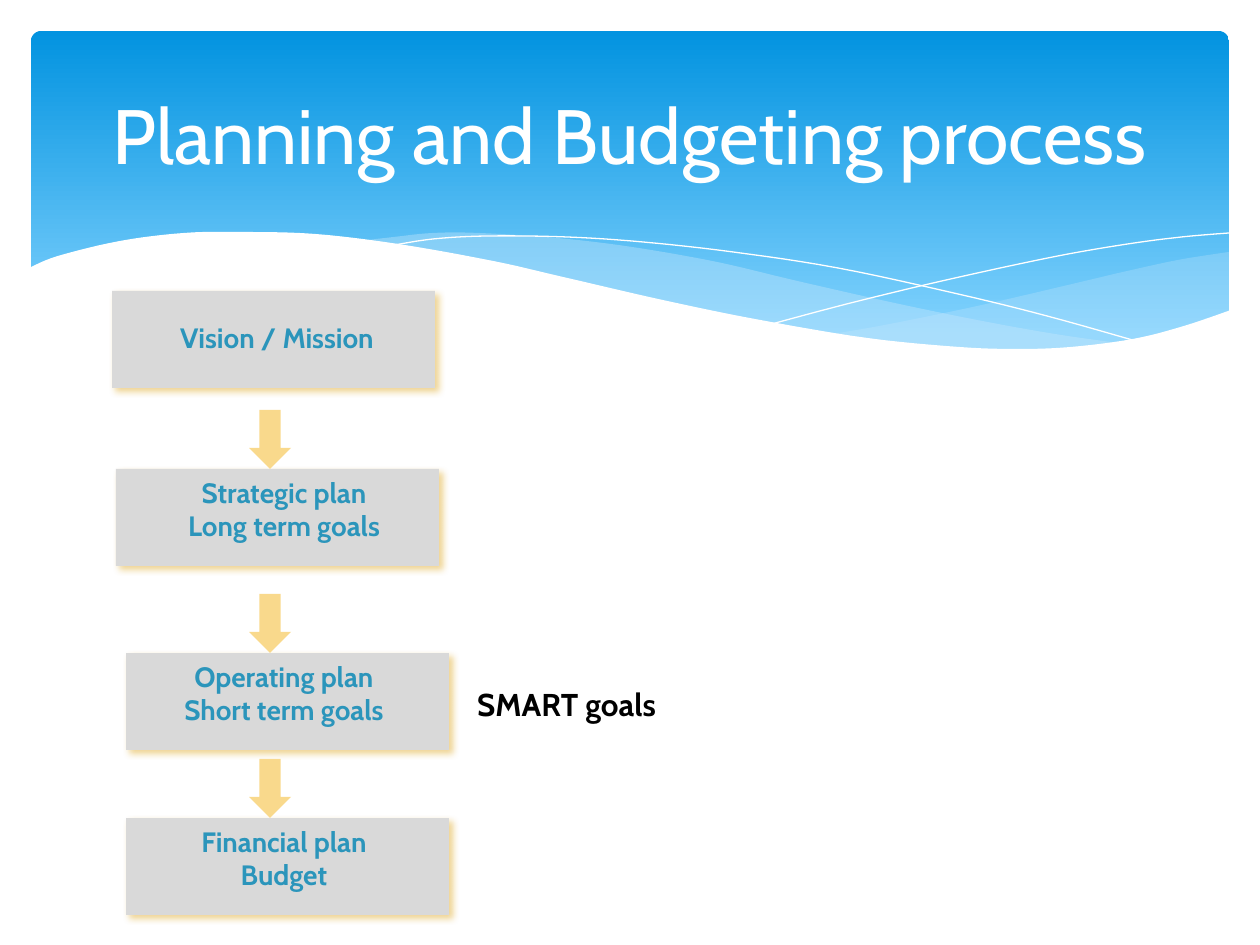
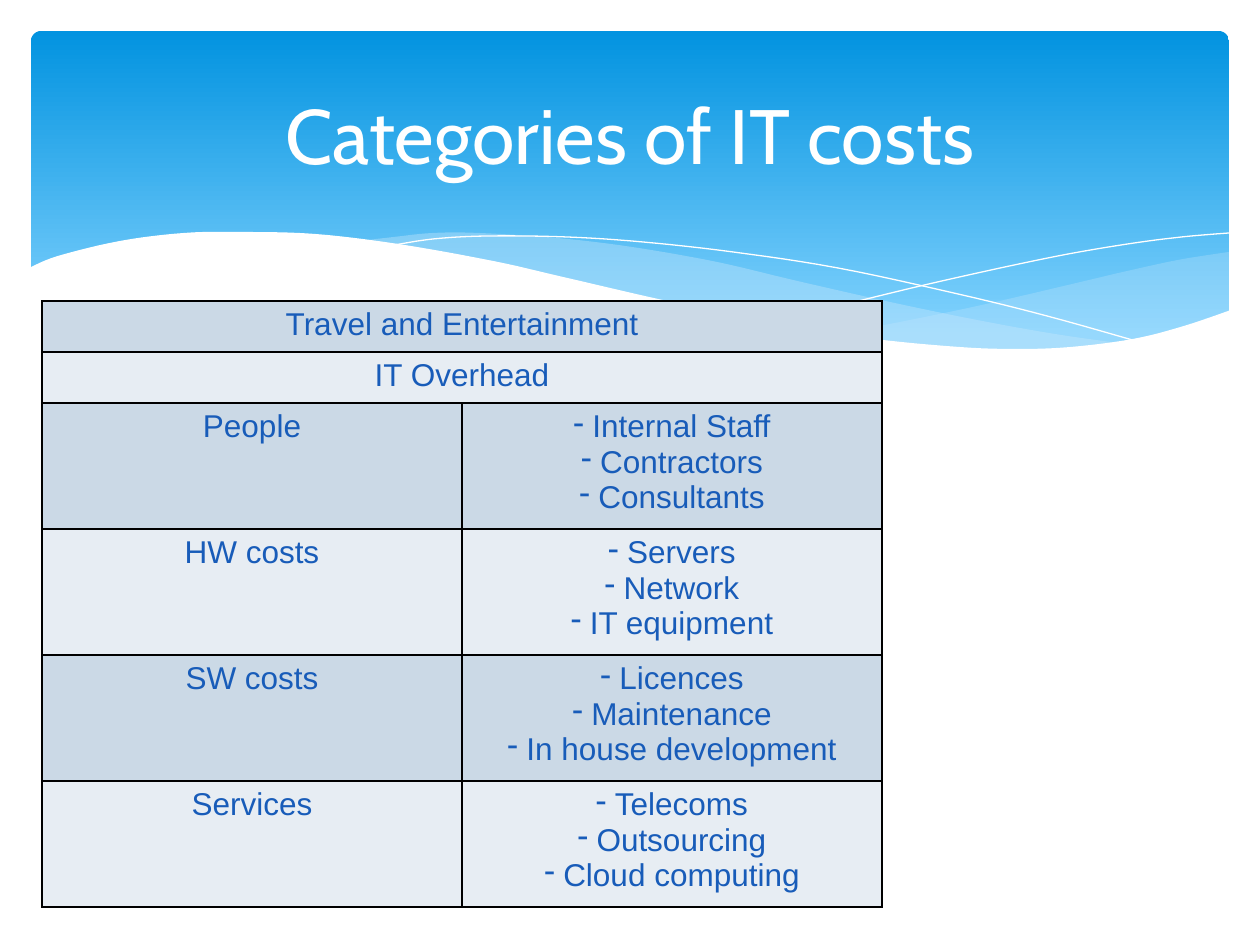
from lxml import etree
from pptx import Presentation
from pptx.dml.color import RGBColor
from pptx.enum.shapes import MSO_SHAPE
from pptx.enum.text import MSO_ANCHOR, MSO_AUTO_SIZE, PP_ALIGN
from pptx.oxml.ns import qn
from pptx.util import Emu, Pt

# Content
PROCESS_TITLE = "Planning and Budgeting process"
# lines, box left, top, label left, label top
STEPS = [
    (["Vision / Mission"], 112, 291, 105, 314),
    (["Strategic plan", "Long term goals"], 116, 469, 112, 469),
    (["Operating plan", "Short term goals"], 126, 653, 112, 653),
    (["Financial plan", "Budget"], 126, 818, 112, 818),
]
SMART_NOTE = "SMART goals"

COSTS_TITLE = "Categories of IT costs"
OVERALL_COSTS = ["Travel and Entertainment", "IT Overhead"]
DETAILED_COSTS = {
    "People": ["Internal Staff", "Contractors", "Consultants"],
    "HW costs": ["Servers", "Network", "IT equipment"],
    "SW costs": ["Licences", "Maintenance", "In house development"],
    "Services": ["Telecoms", "Outsourcing", "Cloud computing"],
}

# Style
HEADING_FONT, TABLE_FONT = "Cabin", "Arial"
WHITE = RGBColor(0xFF, 0xFF, 0xFF)
BLACK = RGBColor(0x00, 0x00, 0x00)
BAND_TOP = RGBColor(0x02, 0x93, 0xE0)
BAND_BOTTOM = RGBColor(0x83, 0xD3, 0xFE)
WAVE_BLUE = RGBColor(0xC6, 0xE7, 0xFC)
BOX_GREY = RGBColor(0xD9, 0xD9, 0xD9)
SHADOW_GOLD = RGBColor(0xDC, 0x9F, 0x0C)
ARROW_YELLOW = RGBColor(0xF9, 0xD9, 0x8C)
STEP_TEAL = RGBColor(0x2B, 0x95, 0xBB)
TABLE_BLUE = RGBColor(0x18, 0x5C, 0xB9)
ROW_FILLS = [RGBColor(0xCB, 0xD9, 0xE6), RGBColor(0xE7, 0xED, 0xF3)]

# Waves: knots of the smooth edges
RIGHT_WAVE_TOP = [(1229, 252), (1178, 260), (1123, 272), (1085, 281), (982, 305),
                  (890, 324), (833, 334)]
RIGHT_WAVE_BOTTOM = [(833, 334), (888, 341), (954, 347), (1026, 350), (1087, 347),
                     (1140, 339), (1187, 326), (1229, 311)]
MIDDLE_WAVE_TOP = [(360, 241), (394, 237), (433, 233), (479, 233), (557, 238),
                   (632, 247), (717, 262), (793, 280), (890, 302), (977, 320),
                   (1055, 334), (1125, 344)]
MIDDLE_WAVE_BOTTOM = [(1125, 344), (1080, 348), (1018, 350), (943, 348), (857, 338),
                      (757, 321), (668, 302), (566, 280), (483, 261), (407, 247),
                      (360, 241)]
FALLING_LINE = [(389, 246), (433, 239), (488, 236), (567, 237), (643, 242),
                (733, 252), (838, 268), (958, 294), (1047, 316), (1143, 343)]
RISING_LINE = [(772, 324), (847, 304), (942, 281), (1053, 257), (1128, 244),
               (1182, 237), (1229, 233)]
WHITE_WAVE_TOP = [(29, 268), (58, 256), (120, 241), (184, 233), (243, 232),
                  (315, 234), (398, 244), (493, 261), (563, 277), (667, 301),
                  (760, 320), (867, 338), (959, 347), (1019, 349), (1071, 347),
                  (1133, 339), (1184, 326), (1231, 310)]
WHITE_WAVE_BASE = [(1231, 415), (29, 415)]

# Sizes in px
SLIDE_SIZE = 1260, 945
TITLE_FRAME = 63, 47, 1134, 173
BAND_FRAME = 31, 31, 1198, 340
BOX_SIZE = 323, 97
LABEL_WIDTH = 344
LINE_HEIGHT, LABEL_PADDING = 34, 13
ARROW_LEFT, ARROW_WIDTH, ARROW_HEIGHT = 249, 42, 59
SMART_FRAME = 417, 679, 299, 50
TABLE_LEFT, TABLE_TOP, COLUMN_WIDTH = 42, 301, 420
OVERALL_HEIGHT, DETAIL_HEIGHT = 51, 126
DASH_INDENT = 19
PX = 914400 / 126


def px(*lengths):
    return [Emu(round(length * PX)) for length in lengths]


def smooth(knots, steps=6):
    """Points of a Catmull-Rom curve through the knots."""
    padded = [knots[0], *knots, knots[-1]]
    points = []
    for a, b, c, d in zip(padded, padded[1:], padded[2:], padded[3:]):
        for t in (step / steps for step in range(steps)):
            points.append(tuple(
                (2 * q + (r - p) * t + (2 * p - 5 * q + 4 * r - s) * t ** 2
                 + (3 * q - p - 3 * r + s) * t ** 3) / 2
                for p, q, r, s in zip(a, b, c, d)))
    return points + [knots[-1]]


def add_dash(paragraph):
    properties = paragraph._p.get_or_add_pPr()
    indent, = px(DASH_INDENT)
    properties.set("marL", str(indent))
    properties.set("indent", str(-indent))
    etree.SubElement(properties, qn("a:buChar"), char="-")


def write(frame, lines, *, size, color, font=HEADING_FONT, bold=False, dashed=False):
    for index, line in enumerate(lines):
        paragraph = frame.add_paragraph() if index else frame.paragraphs[0]
        if dashed:
            add_dash(paragraph)
        paragraph.alignment = PP_ALIGN.CENTER
        run = paragraph.add_run()
        run.text = line
        run.font.size = Pt(size)
        run.font.name = font
        run.font.bold = bold
        run.font.color.rgb = color


def add_label(slide, frame, lines, **style):
    label = slide.shapes.add_textbox(*px(*frame)).text_frame
    label.word_wrap = True
    label.auto_size = MSO_AUTO_SIZE.SHAPE_TO_FIT_TEXT
    write(label, lines, bold=True, **style)


def add_plain_shape(slide, kind, frame, color):
    shape = slide.shapes.add_shape(kind, *px(*frame))
    shape.shadow.inherit = False
    shape.fill.solid()
    shape.fill.fore_color.rgb = color
    shape.line.fill.background()
    return shape


def set_alpha(color_element, percent):
    etree.SubElement(color_element, qn("a:alpha"), val=str(percent * 1000))


def add_gold_shadow(shape):
    effects = shape.element.spPr.find(qn("a:effectLst"))
    shadow = etree.SubElement(effects, qn("a:outerShdw"), blurRad=str(Pt(4)),
                              dist=str(Pt(3)), dir=str(45 * 60000),
                              algn="tl", rotWithShape="0")
    set_alpha(etree.SubElement(shadow, qn("a:srgbClr"), val=str(SHADOW_GOLD)), 43)


def add_wave(slide, points, color, *, alpha=None, filled=True):
    """A filled wave, or a hairline along the points."""
    builder = slide.shapes.build_freeform(*(round(v * PX) for v in points[0]))
    builder.add_line_segments([px(*point) for point in points[1:]], close=filled)
    wave = builder.convert_to_shape()
    wave.shadow.inherit = False
    if filled:
        wave.fill.solid()
        wave.fill.fore_color.rgb = color
        wave.line.fill.background()
    else:
        wave.fill.background()
        wave.line.color.rgb = color
        wave.line.width = Pt(0)
    if alpha:
        set_alpha(wave.element.spPr.find(qn("a:solidFill"))[0], alpha)
    return wave


def draw_band(slide):
    band = add_plain_shape(slide, MSO_SHAPE.ROUNDED_RECTANGLE, BAND_FRAME, BAND_TOP)
    band.adjustments[0] = 0.03
    band.fill.gradient()
    band.fill.gradient_angle = 270
    for stop, color, position in zip(band.fill.gradient_stops,
                                     (BAND_TOP, BAND_BOTTOM), (0, 0.9)):
        stop.color.rgb = color
        stop.position = position
    return [
        band,
        add_wave(slide, smooth(RIGHT_WAVE_TOP) + smooth(RIGHT_WAVE_BOTTOM),
                 WAVE_BLUE, alpha=29),
        add_wave(slide, smooth(MIDDLE_WAVE_TOP) + smooth(MIDDLE_WAVE_BOTTOM),
                 WAVE_BLUE, alpha=40),
        add_wave(slide, smooth(FALLING_LINE), WHITE, filled=False),
        add_wave(slide, smooth(RISING_LINE), WHITE, filled=False),
        add_wave(slide, smooth(WHITE_WAVE_TOP) + WHITE_WAVE_BASE, WHITE),
    ]


def set_up_layout(layout, slide):
    """Place the title and move the band, drawn on the slide, behind it."""
    for placeholder in list(layout.placeholders):
        if placeholder.placeholder_format.idx:
            layout.shapes.element.remove(placeholder.element)
        else:
            (placeholder.left, placeholder.top,
             placeholder.width, placeholder.height) = px(*TITLE_FRAME)
    for depth, part in enumerate(draw_band(slide), start=2):
        layout.shapes.element.insert(depth, part.element)


def set_title(slide, title):
    frame = slide.shapes.title.text_frame
    frame.vertical_anchor = MSO_ANCHOR.MIDDLE
    write(frame, [title], size=44, color=WHITE)


def fill_process_slide(slide):
    set_title(slide, PROCESS_TITLE)
    for lines, left, top, label_left, label_top in STEPS:
        box = add_plain_shape(slide, MSO_SHAPE.RECTANGLE, (left, top, *BOX_SIZE), BOX_GREY)
        add_gold_shadow(box)
        label_height = LABEL_PADDING + LINE_HEIGHT * len(lines)
        add_label(slide, (label_left, label_top, LABEL_WIDTH, label_height), lines,
                  size=16, color=STEP_TEAL)
    for _, _, next_top, _, _ in STEPS[1:]:
        add_plain_shape(slide, MSO_SHAPE.DOWN_ARROW,
                        (ARROW_LEFT, next_top - ARROW_HEIGHT, ARROW_WIDTH, ARROW_HEIGHT),
                        ARROW_YELLOW)
    add_label(slide, SMART_FRAME, [SMART_NOTE], size=18, color=BLACK)


def format_cell(cell, color):
    properties = cell._tc.get_or_add_tcPr()
    for side in ("lnL", "lnR", "lnT", "lnB"):
        border = etree.SubElement(properties, qn(f"a:{side}"), w=str(Pt(1)))
        fill = etree.SubElement(border, qn("a:solidFill"))
        etree.SubElement(fill, qn("a:srgbClr"), val=str(BLACK))
    cell.fill.solid()
    cell.fill.fore_color.rgb = color


def fill_costs_slide(slide):
    set_title(slide, COSTS_TITLE)
    heights = [OVERALL_HEIGHT] * len(OVERALL_COSTS) + [DETAIL_HEIGHT] * len(DETAILED_COSTS)
    costs = slide.shapes.add_table(
        len(heights), 2, *px(TABLE_LEFT, TABLE_TOP, 2 * COLUMN_WIDTH, sum(heights))).table
    costs.first_row = costs.horz_banding = False
    for index, height in enumerate(heights):
        costs.rows[index].height, = px(height)
        for column in range(2):
            format_cell(costs.cell(index, column), ROW_FILLS[index % 2])

    style = dict(size=18, color=TABLE_BLUE, font=TABLE_FONT)
    for index, category in enumerate([*OVERALL_COSTS, *DETAILED_COSTS]):
        write(costs.cell(index, 0).text_frame, [category], **style)
        if category in DETAILED_COSTS:
            write(costs.cell(index, 1).text_frame, DETAILED_COSTS[category],
                  dashed=True, **style)
        else:
            costs.cell(index, 0).merge(costs.cell(index, 1))


def main():
    deck = Presentation()
    deck.slide_width, deck.slide_height = px(*SLIDE_SIZE)
    layout = deck.slide_layouts.get_by_name("Title Only")
    process = deck.slides.add_slide(layout)
    set_up_layout(layout, process)
    fill_process_slide(process)
    fill_costs_slide(deck.slides.add_slide(layout))
    deck.save("out.pptx")


if __name__ == "__main__":
    main()
